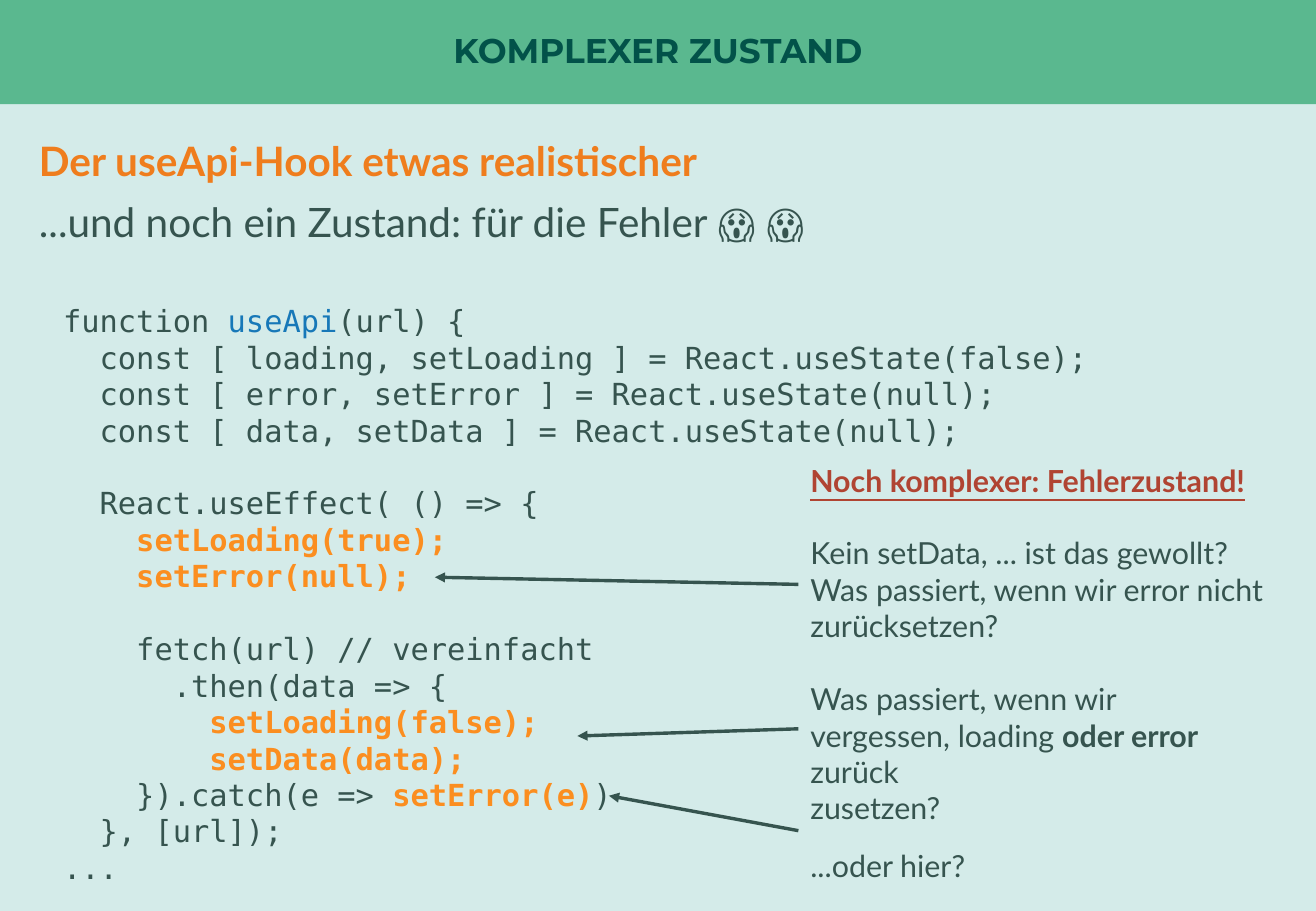
from lxml import etree
from pptx import Presentation
from pptx import util as u
from pptx.dml.color import RGBColor
from pptx.enum import shapes, text
from pptx.oxml.ns import qn

MINT = RGBColor(0xD4, 0xEB, 0xE9)
GREEN = RGBColor(0x5A, 0xB8, 0x8F)
DARK_GREEN = RGBColor(0x02, 0x52, 0x49)
SLATE = RGBColor(0x36, 0x54, 0x4F)
ORANGE = RGBColor(0xEF, 0x7D, 0x1D)
AMBER = RGBColor(0xFB, 0x8E, 0x20)
BLUE = RGBColor(0x17, 0x78, 0xB8)
RED = RGBColor(0xB0, 0x44, 0x32)

# Run styles: colour, bold, underline
PLAIN = (SLATE, False, False)
STRONG = (SLATE, True, False)
NAME = (BLUE, False, False)
CALL = (AMBER, True, False)
ALERT = (RED, True, True)
HEADING = (ORANGE, True, False)


def fill_frame(frame, lines, font_name, size, spacing):
    """Write lines of (space before in points, [(text, style), ...])."""
    frame.word_wrap = True
    for number, (gap, parts) in enumerate(lines):
        para = frame.paragraphs[0] if number == 0 else frame.add_paragraph()
        para.line_spacing = spacing
        para.space_before = u.Pt(gap)
        for words, (colour, bold, underline) in parts:
            span = para.add_run()
            span.text = words
            span.font.name = font_name
            span.font.size = u.Pt(size)
            span.font.color.rgb = colour
            span.font.bold = bold
            span.font.underline = underline


deck = Presentation()
deck.slide_width, deck.slide_height = u.Cm(27.51), u.Cm(19.05)
page = deck.slides.add_slide(deck.slide_layouts[1])
page.background.fill.solid()
page.background.fill.fore_color.rgb = MINT

# Title band
title = page.shapes.title
title.left, title.top, title.width, title.height = 0, 0, deck.slide_width, u.Cm(2.18)
title.fill.solid()
title.fill.fore_color.rgb = GREEN
frame = title.text_frame
frame.auto_size = text.MSO_AUTO_SIZE.NONE
frame.vertical_anchor = text.MSO_ANCHOR.MIDDLE
frame.margin_left = frame.margin_right = frame.margin_top = frame.margin_bottom = 0
fill_frame(frame, [(0, [("KOMPLEXER ZUSTAND", (DARK_GREEN, True, False))])],
           "Montserrat", 20.3, 0.9)
frame.paragraphs[0].alignment = text.PP_ALIGN.CENTER

# Introduction
body = page.placeholders[1]
body.left, body.top, body.width, body.height = u.Cm(0.56), u.Cm(2.84), u.Cm(26.39), u.Cm(14.81)
body.text_frame.auto_size = text.MSO_AUTO_SIZE.NONE
fill_frame(body.text_frame, [
    (0, [("Der useApi-Hook etwas realistischer", HEADING)]),
    (10, [("...und noch ein Zustand: für die Fehler 😱 😱", PLAIN)]),
], "Lato", 24, 0.9)
for para in body.text_frame.paragraphs:
    properties = para._p.get_or_add_pPr()
    properties.set("marL", "0")
    properties.set("indent", "0")
    etree.SubElement(properties, qn("a:buNone"))

# Code and side notes
LINE = 21.6
code_lines = [
    (0, [("function ", PLAIN), ("useApi", NAME), ("(url) {", PLAIN)]),
    (0, [("  const [ loading, setLoading ] = React.useState(false);", PLAIN)]),
    (0, [("  const [ error, setError ] = React.useState(null);", PLAIN)]),
    (0, [("  const [ data, setData ] = React.useState(null);", PLAIN)]),
    (LINE, [("  React.useEffect( () => {", PLAIN)]),
    (0, [("    setLoading(true);", CALL)]),
    (0, [("    setError(null);", CALL)]),
    (LINE, [("    fetch(url) // vereinfacht", PLAIN)]),
    (0, [("      .then(data => {", PLAIN)]),
    (0, [("        setLoading(false);", CALL)]),
    (0, [("        setData(data);", CALL)]),
    (0, [("    }).catch(e => ", PLAIN), ("setError(e)", CALL), (")", PLAIN)]),
    (0, [("  }, [url]);", PLAIN)]),
    (0, [("...", PLAIN)]),
]
note_lines = [
    (0, [("Noch komplexer: Fehlerzustand!", ALERT)]),
    (LINE, [("Kein setData, ... ist das gewollt?", PLAIN)]),
    (0, [("Was passiert, wenn wir error nicht", PLAIN)]),
    (0, [("zurücksetzen?", PLAIN)]),
    (LINE, [("Was passiert, wenn wir", PLAIN)]),
    (0, [("vergessen, loading ", PLAIN), ("oder error ", STRONG), ("zurück", PLAIN)]),
    (0, [("zusetzen?", PLAIN)]),
    (12.6, [("...oder hier?", PLAIN)]),
]
for left, top, width, height, lines, font_name in [
    (1.07, 6.2, 25.37, 12.57, code_lines, "DejaVu Sans Mono"),
    (16.69, 9.53, 10.29, 9.5, note_lines, "Lato"),
]:
    box = page.shapes.add_textbox(u.Cm(left), u.Cm(top), u.Cm(width), u.Cm(height))
    fill_frame(box.text_frame, lines, font_name, 18, u.Pt(LINE))

# Arrows from the notes to the code
NOTE_EDGE = 16.69
for start_y, end_x, end_y in [(12.22, 9.09, 12.07), (15.24, 12.07, 15.39), (17.37, 12.73, 16.64)]:
    arrow = page.shapes.add_connector(shapes.MSO_CONNECTOR.STRAIGHT, u.Cm(NOTE_EDGE),
                                      u.Cm(start_y), u.Cm(end_x), u.Cm(end_y))
    arrow.line.color.rgb = SLATE
    arrow.line.width = u.Pt(2)
    etree.SubElement(arrow.line._get_or_add_ln(), qn("a:tailEnd"), type="triangle")
    etree.SubElement(arrow._element.spPr, qn("a:effectLst"))

deck.save("out.pptx")
